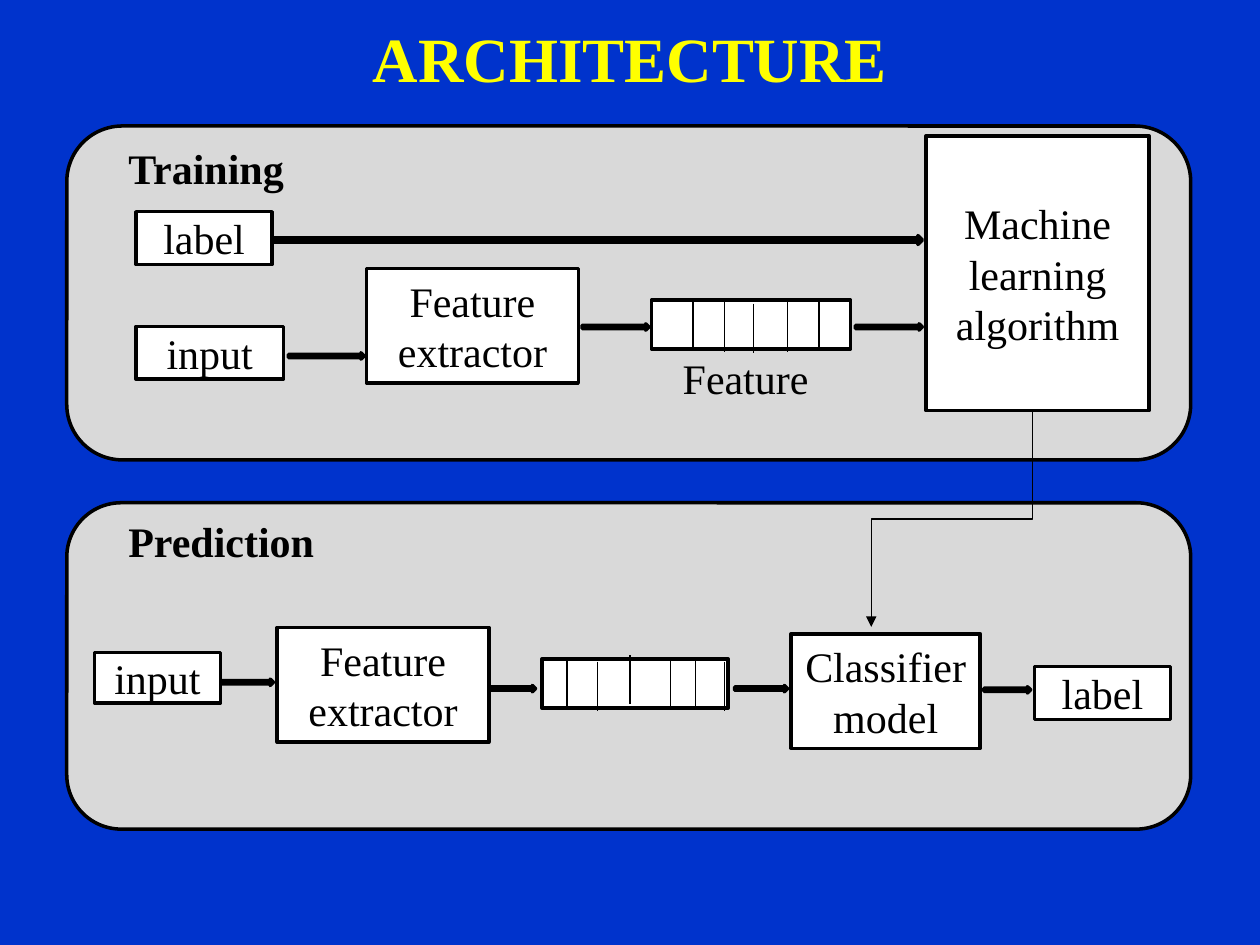
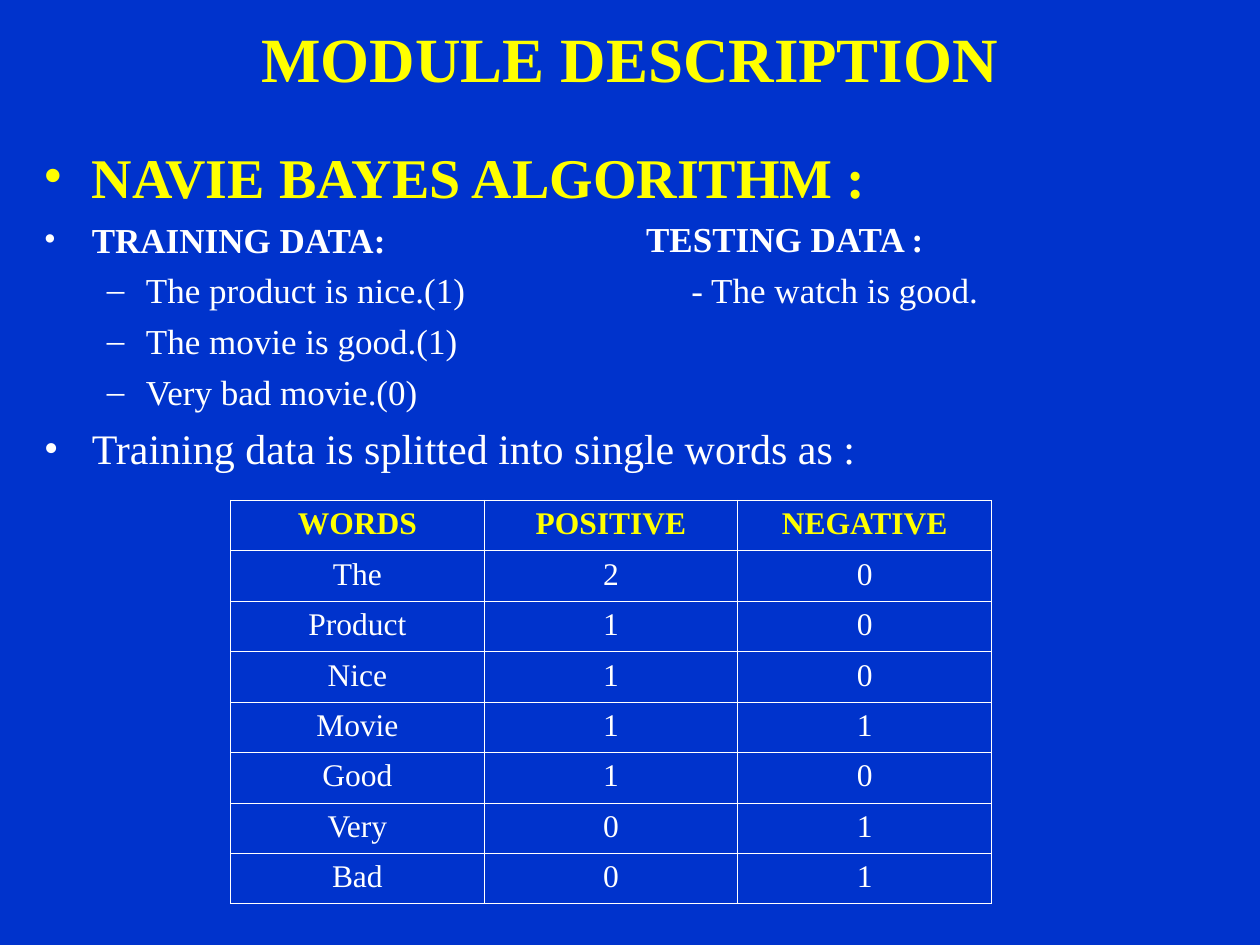
from dataclasses import dataclass

from lxml import etree
from pptx import Presentation
from pptx.dml.color import RGBColor
from pptx.enum.shapes import MSO_CONNECTOR, MSO_SHAPE
from pptx.enum.text import MSO_ANCHOR, PP_ALIGN
from pptx.oxml.ns import qn
from pptx.util import Inches, Pt

RECT, ROUNDED, ARROW = MSO_SHAPE.RECTANGLE, MSO_SHAPE.ROUNDED_RECTANGLE, MSO_SHAPE.RIGHT_ARROW
STRAIGHT, ELBOW = MSO_CONNECTOR.STRAIGHT, MSO_CONNECTOR.ELBOW
LEFT, CENTER, JUSTIFY = PP_ALIGN.LEFT, PP_ALIGN.CENTER, PP_ALIGN.JUSTIFY
MIDDLE = MSO_ANCHOR.MIDDLE


@dataclass(frozen=True)
class Theme:
    font: str = "Times New Roman"
    background: str = "0033CC"
    accent: str = "FFFF00"
    light: str = "FFFFFF"
    dark: str = "000000"
    panel: str = "D9D9D9"
    title: int = 36
    heading: int = 32
    label: int = 24
    body: int = 20
    cell: int = 18


theme = Theme()


def write(tf, text, size=theme.label, color=theme.dark, bold=False, align=LEFT,
          bullet=None, margin=0, hang=0, before=0):
    """Fill the empty first paragraph of tf, or add a paragraph after the others."""
    p = tf.paragraphs[0] if not tf.text else tf.add_paragraph()
    pPr = p._p.get_or_add_pPr()
    pPr.set("marL", str(Inches(margin)))
    pPr.set("indent", str(-Inches(hang)))
    if bullet:
        bu_color = etree.SubElement(pPr, qn("a:buClr"))
        etree.SubElement(bu_color, qn("a:srgbClr"), val=color)
        etree.SubElement(pPr, qn("a:buFont"), typeface=theme.font)
        etree.SubElement(pPr, qn("a:buChar"), char=bullet)
    p.alignment = align
    p.space_before = Pt(before)
    r = p.add_run()
    r.text = text
    r.font.name, r.font.size, r.font.bold = theme.font, Pt(size), bold
    r.font.color.rgb = RGBColor.from_string(color)


def add_block(slide, kind, box, fill=None, text=None, **fmt):
    """Add an outlined shape, or a plain text box when kind is None."""
    lengths = [Inches(v) for v in box]
    if kind is None:
        s = slide.shapes.add_textbox(*lengths)
    else:
        s = slide.shapes.add_shape(kind, *lengths)
        s.shadow.inherit = False
        s.fill.solid()
        s.fill.fore_color.rgb = RGBColor.from_string(fill)
        s.line.color.rgb = RGBColor.from_string(theme.dark)
        s.line.width = Pt(2)
        s.text_frame.vertical_anchor = MIDDLE
    s.text_frame.word_wrap = True
    if text:
        write(s.text_frame, text, **fmt)
    return s


prs = Presentation()
prs.slide_width, prs.slide_height = Inches(10), Inches(7.5)
master_fill = prs.slide_master.background.fill
master_fill.solid()
master_fill.fore_color.rgb = RGBColor.from_string(theme.background)

slides = []
for title in ("ARCHITECTURE", "MODULE DESCRIPTION"):
    slide = prs.slides.add_slide(prs.slide_layouts[6])
    s = add_block(slide, None, (0.75, -0.17, 8.5, 1.25), text=title, size=theme.title,
                  color=theme.accent, bold=True, align=CENTER)
    s.text_frame.vertical_anchor = MIDDLE
    slides.append(slide)
architecture, module = slides

# Architecture: two panels with their captions
for name, top, height, caption_top in (("Training", 1, 2.65, 1.08),
                                       ("Prediction", 3.99, 2.59, 4.04)):
    add_block(architecture, ROUNDED, (0.53, top, 8.92, height), theme.panel)
    add_block(architecture, None, (0.92, caption_top, 1.92, 0.5), text=name, bold=True)

# Processing steps
for text, box in (
    ("label", (1.08, 1.68, 1.08, 0.42)),
    ("input", (1.08, 2.59, 1.17, 0.42)),
    ("Feature extractor", (2.91, 2.13, 1.68, 0.91)),
    (None, (5.17, 2.38, 1.58, 0.39)),
    ("Machine learning algorithm", (7.35, 1.08, 1.77, 2.18)),
    ("input", (0.75, 5.18, 1, 0.4)),
    ("Feature extractor", (2.2, 4.98, 1.68, 0.91)),
    (None, (4.3, 5.23, 1.48, 0.39)),
    ("Classifier model", (6.28, 5.03, 1.5, 0.91)),
    ("label", (8.21, 5.29, 1.08, 0.42)),
):
    add_block(architecture, RECT, box, theme.light, text, align=CENTER)
add_block(architecture, None, (5.32, 2.75, 1.33, 0.5), text="Feature")

# Flow arrows: left, top, length, thickness
for box in (
    (2.17, 1.87, 5.15, 0.07),
    (2.29, 2.8, 0.6, 0.05),
    (4.62, 2.57, 0.53, 0.05),
    (6.79, 2.57, 0.53, 0.05),
    (1.76, 5.39, 0.41, 0.05),
    (3.88, 5.44, 0.37, 0.05),
    (5.83, 5.44, 0.42, 0.05),
    (7.81, 5.45, 0.37, 0.05),
):
    add_block(architecture, ARROW, box, theme.dark)

# Dividers of the feature vectors, then the link from algorithm to model
divider_height = 0.39
dividers = (
    (5.5, 2.38), (5.75, 2.4), (5.98, 2.41), (6.25, 2.4), (6.5, 2.38),
    (4.5, 5.23), (4.74, 5.25), (5, 5.2), (5.32, 5.23), (5.52, 5.24), (5.75, 5.25),
)
lines = [(STRAIGHT, x, y, x, y + divider_height) for x, y in dividers]
lines.append((ELBOW, 6.7, 3.48, 8.41, 4.76))
for kind, *ends in lines:
    link = architecture.shapes.add_connector(kind, *[Inches(v) for v in ends])
    link.line.color.rgb = RGBColor.from_string(theme.dark)
    link.line.width = Pt(0.75)
    spPr = link._element.spPr
    etree.SubElement(spPr, qn("a:effectLst"))
    if kind == ELBOW:
        spPr.find(qn("a:xfrm")).set("rot", "5400000")
        etree.SubElement(spPr.find(qn("a:ln")), qn("a:tailEnd"), type="triangle")

# Module description: training data on the left, testing data on the right
top_level = dict(bullet="•", margin=0.38, hang=0.38)
white = dict(size=theme.body, color=theme.light)
tf = add_block(module, None, (0.25, 1.08, 9.42, 2.8)).text_frame
write(tf, "NAVIE BAYES ALGORITHM :", size=theme.heading, color=theme.accent, bold=True,
      align=JUSTIFY, **top_level)
write(tf, "TRAINING DATA:", bold=True, before=5, **white, **top_level)
for sentence in ("The product is nice.(1)", "The movie is good.(1)", "Very bad movie.(0)"):
    write(tf, sentence, bullet="–", margin=0.81, hang=0.31, before=5, **white)
write(tf, "Training data is splitted into single words as :", color=theme.light,
      before=6, **top_level)

tf = add_block(module, None, (5.03, 1.68, 4, 0.9)).text_frame
write(tf, "TESTING DATA :", bold=True, **white)
write(tf, "- The watch is good.", margin=0.36, before=5, **white)

# Word counts
word_counts = (
    ("WORDS", "POSITIVE", "NEGATIVE"),
    ("The", 2, 0),
    ("Product", 1, 0),
    ("Nice", 1, 0),
    ("Movie", 1, 1),
    ("Good", 1, 0),
    ("Very", 0, 1),
    ("Bad", 0, 1),
)
row_height = 0.4
table = module.shapes.add_table(
    len(word_counts), len(word_counts[0]), Inches(1.83), Inches(3.97),
    Inches(6.04), Inches(row_height * len(word_counts))).table
table.first_row = table.horz_banding = False
for i, row in enumerate(word_counts):
    for j, value in enumerate(row):
        cell = table.cell(i, j)
        write(cell.text_frame, str(value), size=theme.cell, bold=i == 0, align=CENTER,
              color=theme.light if i else theme.accent)
        tcPr = cell._tc.get_or_add_tcPr()
        for side in ("lnL", "lnR", "lnT", "lnB"):
            ln = etree.SubElement(tcPr, qn(f"a:{side}"), w=str(Pt(0.45)))
            ln_fill = etree.SubElement(ln, qn("a:solidFill"))
            etree.SubElement(ln_fill, qn("a:srgbClr"), val=theme.light)
        cell.fill.background()

prs.save("out.pptx")
